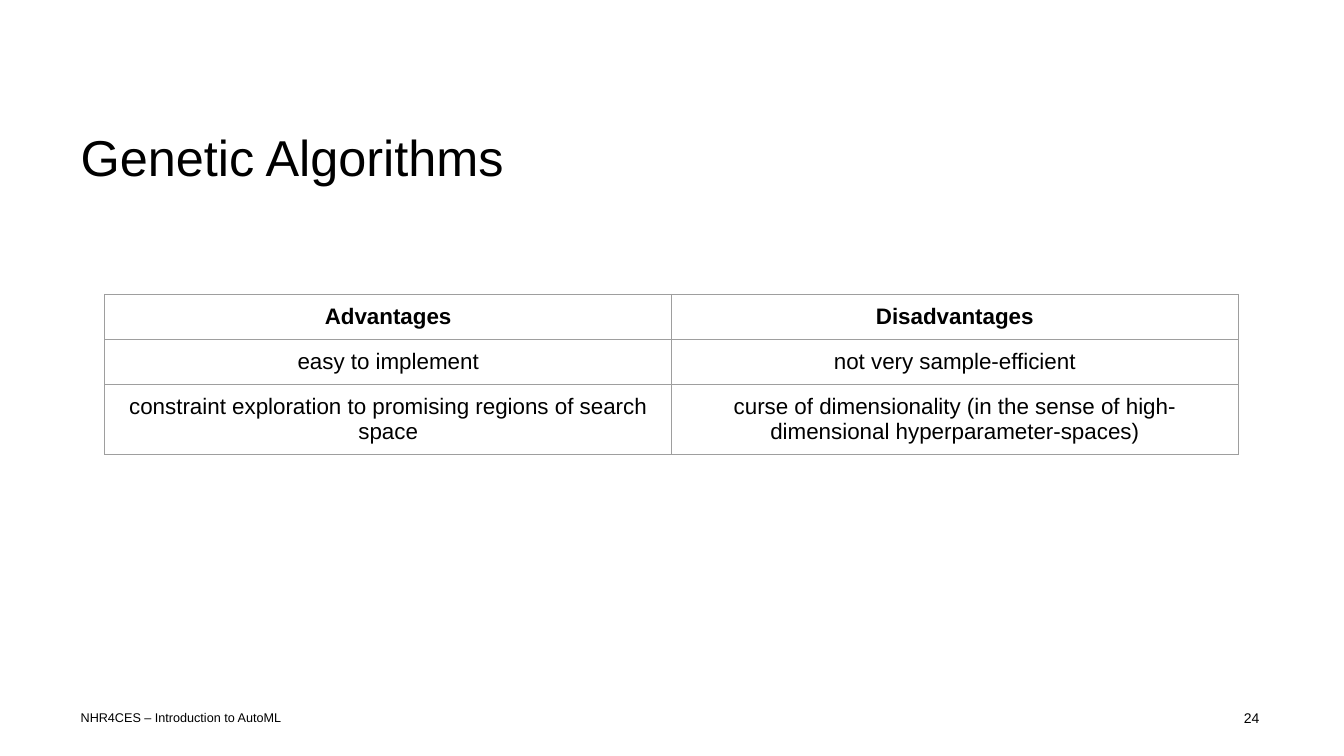
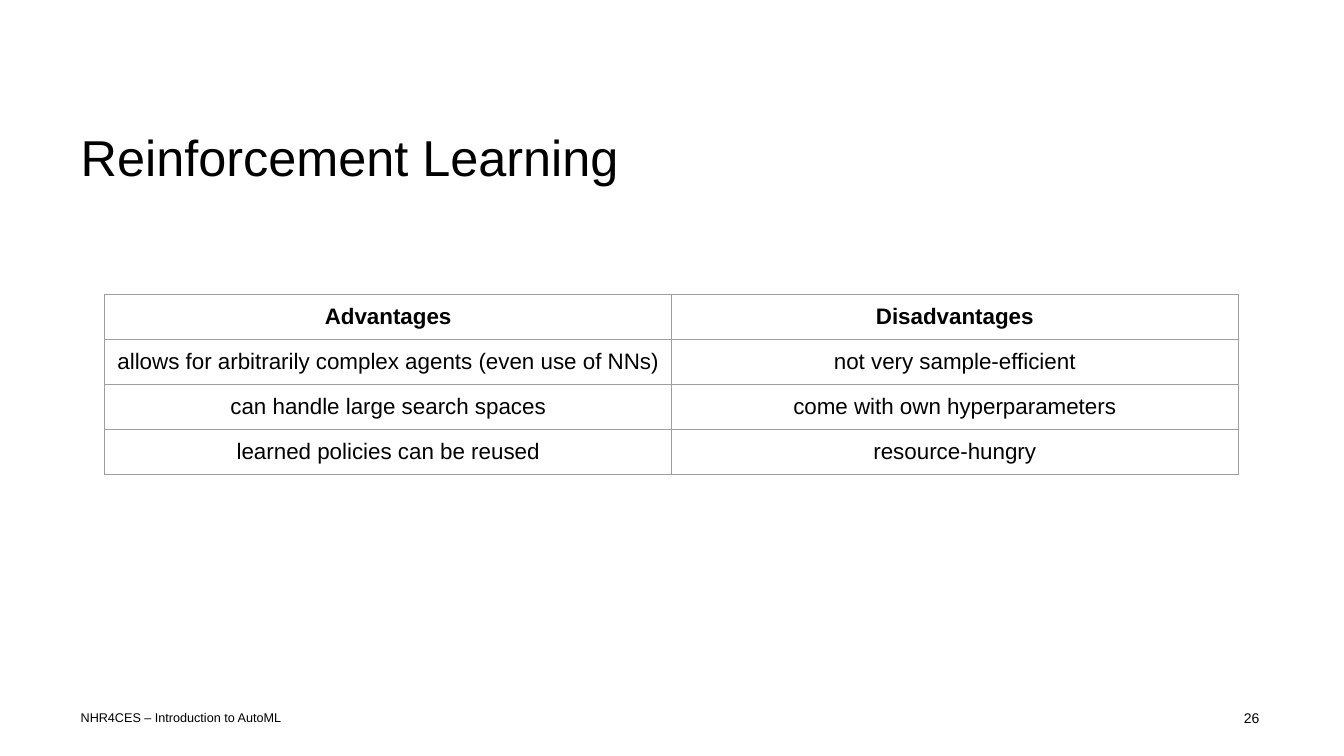
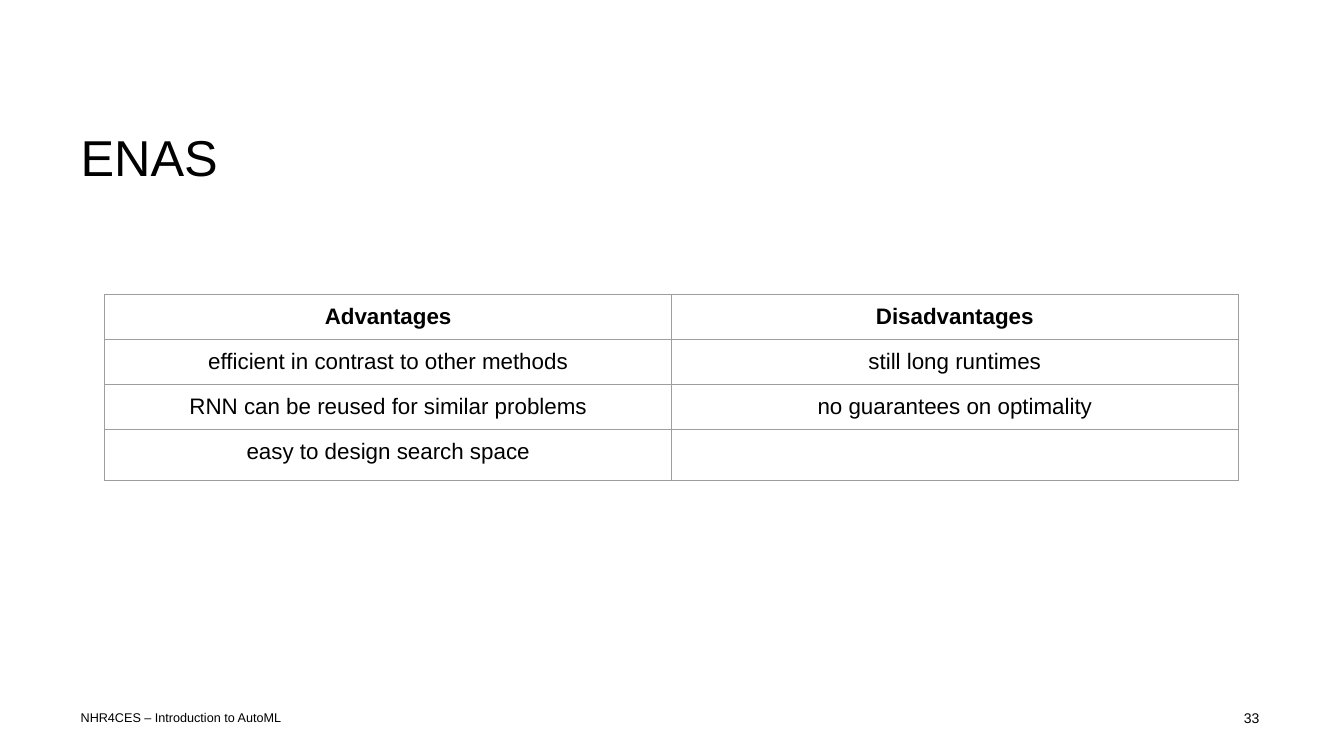
from lxml import etree
from pptx import Presentation
from pptx.dml.color import RGBColor
from pptx.enum.text import MSO_ANCHOR, PP_ALIGN
from pptx.oxml.ns import qn
from pptx.util import Inches, Pt

LEFT, CENTER, RIGHT = PP_ALIGN.LEFT, PP_ALIGN.CENTER, PP_ALIGN.RIGHT
TOP = MSO_ANCHOR.TOP

# Content
FOOTER = "NHR4CES – Introduction to AutoML"
HEADER = ("Advantages", "Disadvantages")
METHODS = [
    ("Genetic Algorithms", 24, [
        ("easy to implement", "not very sample-efficient"),
        ("constraint exploration to promising regions of search space",
         "curse of dimensionality (in the sense of "
         "high-dimensional hyperparameter-spaces)"),
    ]),
    ("Reinforcement Learning", 26, [
        ("allows for arbitrarily complex agents (even use of NNs)",
         "not very sample-efficient"),
        ("can handle large search spaces", "come with own hyperparameters"),
        ("learned policies can be reused", "resource-hungry"),
    ]),
    ("ENAS", 33, [
        ("efficient in contrast to other methods", "still long runtimes"),
        ("RNN can be reused for similar problems",
         "no guarantees on optimality"),
        ("easy to design search space", ""),
    ]),
]

# Shared style
FONT = "Arial"
INK, GRID = "000000", "9E9E9E"
MARGIN, CONTENT_WIDTH = 0.8, 11.73
FOOTER_TOP, NUMBER_WIDTH = 7, 0.42
TABLE_LEFT, TABLE_TOP = 1.04, 2.92
COLUMN_WIDTH, ROW_HEIGHT, CELL_MARGIN = 5.62, 0.42, 0.1


def rgb(color):
    return RGBColor.from_string(color)


def style(paragraph, size, align=LEFT, bold=False):
    paragraph.alignment = align
    for run in paragraph.runs:
        font = run.font
        font.name, font.size, font.bold = FONT, Pt(size), bold
        font.color.rgb = rgb(INK)


def set_margins(frame, left, top, right, bottom):
    frame.margin_left, frame.margin_top = Inches(left), Inches(top)
    frame.margin_right, frame.margin_bottom = Inches(right), Inches(bottom)


def add_label(slide, text, left, width, height, size, align=LEFT):
    label = slide.shapes.add_textbox(
        Inches(left), Inches(FOOTER_TOP), Inches(width), Inches(height))
    frame = label.text_frame
    frame.word_wrap = True
    set_margins(frame, 0, 0.04, 0.04, 0)
    frame.text = text
    style(frame.paragraphs[0], size, align)
    return label


def set_title(slide, text):
    title = slide.shapes.title
    title.left, title.top = Inches(MARGIN), Inches(1.15)
    title.width, title.height = Inches(CONTENT_WIDTH), Inches(1.08)
    frame = title.text_frame
    frame.vertical_anchor = TOP
    set_margins(frame, 0, 0, 0.2, 0)
    frame.text = text
    heading = frame.paragraphs[0]
    heading.line_spacing, heading.space_after = 1.17, Pt(12)
    style(heading, 36)


def add_borders(cell):
    properties = cell._tc.get_or_add_tcPr()
    for position, side in enumerate(("lnL", "lnR", "lnT", "lnB")):
        border = etree.Element(qn(f"a:{side}"), w=str(Pt(0.75)))
        fill = etree.SubElement(border, qn("a:solidFill"))
        etree.SubElement(fill, qn("a:srgbClr"), val=GRID)
        properties.insert(position, border)


def add_comparison(slide, rows):
    rows = [HEADER, *rows]
    table = slide.shapes.add_table(
        len(rows), len(HEADER), Inches(TABLE_LEFT), Inches(TABLE_TOP),
        Inches(COLUMN_WIDTH * len(HEADER)),
        Inches(ROW_HEIGHT * len(rows))).table
    table.first_row = table.horz_banding = False
    for row_index, row in enumerate(rows):
        for column_index, text in enumerate(row):
            cell = table.cell(row_index, column_index)
            set_margins(cell, *[CELL_MARGIN] * 4)
            cell.fill.background()
            add_borders(cell)
            cell.text_frame.text = text
            style(cell.text_frame.paragraphs[0], 16, CENTER, row_index == 0)


def main():
    deck = Presentation()
    deck.slide_width, deck.slide_height = Inches(13.33), Inches(7.5)
    layout = deck.slide_layouts.get_by_name("Title Only")

    for index, (method, number, rows) in enumerate(METHODS):
        slide = deck.slides.add_slide(layout)
        if index == 0:
            # The footer moves to the layout, so every slide shows it
            footer = add_label(slide, FOOTER, MARGIN, 3.45, 0.19, 9)
            layout.shapes._spTree.append(footer._element)
        set_title(slide, method)
        add_comparison(slide, rows)
        add_label(slide, str(number), MARGIN + CONTENT_WIDTH - NUMBER_WIDTH,
                  NUMBER_WIDTH, 0.28, 10, RIGHT)

    deck.save("out.pptx")


if __name__ == "__main__":
    main()
